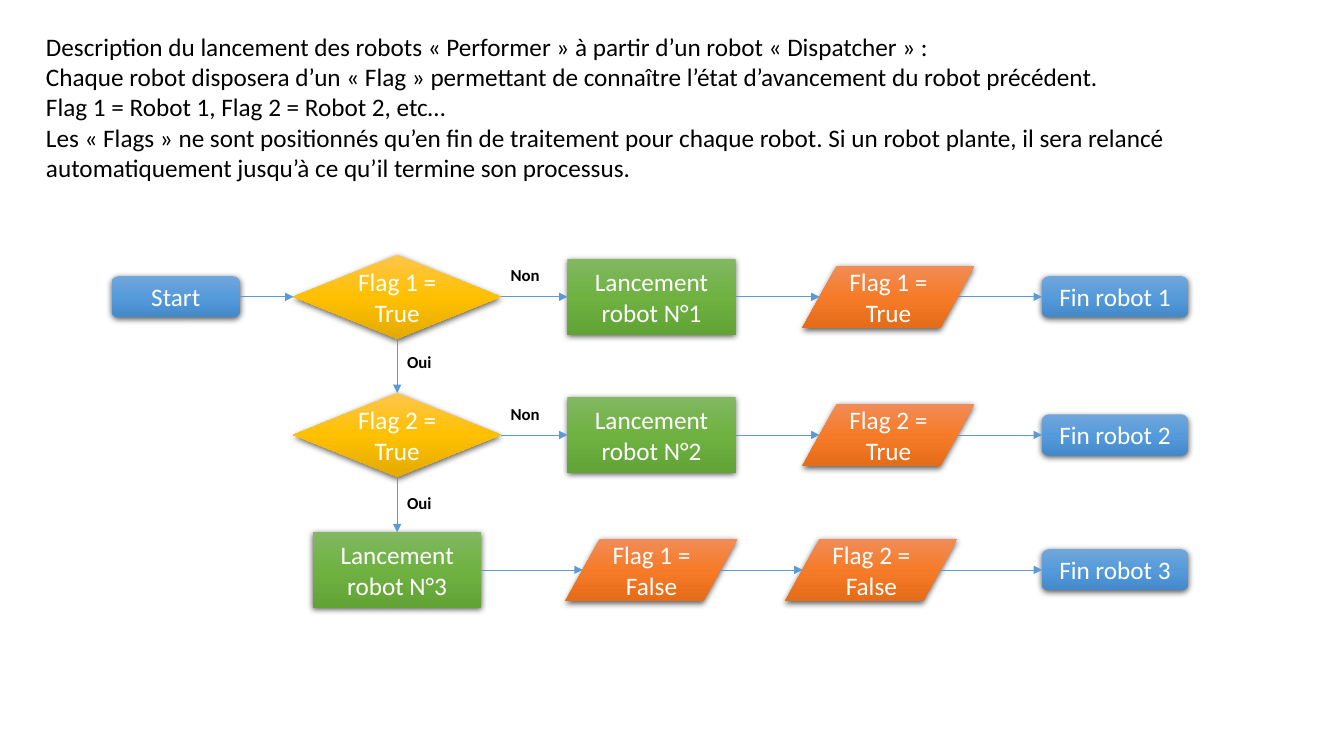
"""Draw the flowchart in which a dispatcher robot launches the performer robots."""
import copy
from dataclasses import dataclass

import lxml.etree
import pptx
import pptx.dml.color
import pptx.enum.dml
import pptx.enum.shapes
import pptx.enum.text
import pptx.oxml
import pptx.oxml.ns
import pptx.util

Cm = pptx.util.Cm
Pt = pptx.util.Pt
Rgb = pptx.dml.color.RGBColor.from_string
Shapes = pptx.enum.shapes.MSO_SHAPE
Align = pptx.enum.text.PP_ALIGN
qn = pptx.oxml.ns.qn

TOP, LEFT, BOTTOM, RIGHT = range(4)


@dataclass(frozen=True)
class Theme:
    """Colours and type sizes of the slide."""
    font: str = "Calibri"
    body: int = 18
    label: int = 12
    dark: str = "000000"
    light: str = "FFFFFF"
    arrow: str = "5B9BD5"
    arrow_width: float = 0.5
    blue: tuple[str, ...] = ("71A6DB", "559BDB", "448ACA")
    gold: tuple[str, ...] = ("FFC64B", "FFC000", "E3AB00")
    green: tuple[str, ...] = ("81B861", "6FB242", "62A336")
    orange: tuple[str, ...] = ("F18C57", "F67B28", "E56C19")


THEME = Theme()


@dataclass(frozen=True)
class Kind:
    """Outline, size in cm and gradient shared by one sort of step."""
    outline: pptx.enum.shapes.MSO_SHAPE
    width: float
    height: float
    colors: tuple[str, ...]


@dataclass(frozen=True)
class Step:
    """One box of the flowchart, placed by its centre in cm."""
    kind: Kind
    x: float
    y: float
    text: str


@dataclass(frozen=True)
class Arrow:
    """An arrow from a side of one step to a side of another."""
    tail: str
    head: str
    start: int = RIGHT
    end: int = LEFT


@dataclass(frozen=True)
class Label:
    """A free text with its box in cm."""
    lines: tuple[str, ...]
    x: float
    y: float
    width: float
    height: float
    size: int = THEME.label
    bold: bool = True
    wrap: bool = False


START = Kind(Shapes.FLOWCHART_ALTERNATE_PROCESS, 3.23, 1.04, THEME.blue)
END = Kind(Shapes.FLOWCHART_ALTERNATE_PROCESS, 3.68, 1.04, THEME.blue)
TEST = Kind(Shapes.FLOWCHART_DECISION, 5.23, 2.11, THEME.gold)
LAUNCH = Kind(Shapes.FLOWCHART_PROCESS, 4.24, 1.9, THEME.green)
FLAG = Kind(Shapes.FLOWCHART_DATA, 4.34, 1.57, THEME.orange)

ROW1, ROW2, ROW3 = 7.48, 10.96, 14.36
START_X, TEST_X, LAUNCH_X, FLAG_X, END_X = 4.43, 10.01, 16.42, 22.39, 28.1

STEPS = {
    "start": Step(START, START_X, ROW1, "Start"),
    "test1": Step(TEST, TEST_X, ROW1, "Flag 1 = True"),
    "launch1": Step(LAUNCH, LAUNCH_X, ROW1, "Lancement robot N°1"),
    "flag1": Step(FLAG, FLAG_X, ROW1, "Flag 1 = True"),
    "end1": Step(END, END_X, ROW1, "Fin robot 1"),
    "test2": Step(TEST, TEST_X, ROW2, "Flag 2 = True"),
    "launch2": Step(LAUNCH, LAUNCH_X, ROW2, "Lancement robot N°2"),
    "flag2": Step(FLAG, FLAG_X, ROW2, "Flag 2 =\nTrue"),
    "end2": Step(END, END_X, ROW2, "Fin robot 2"),
    "launch3": Step(LAUNCH, TEST_X, ROW3, "Lancement robot N°3"),
    "reset1": Step(FLAG, LAUNCH_X, ROW3, "Flag 1 = False"),
    "reset2": Step(FLAG, 21.96, ROW3, "Flag 2 =\nFalse"),
    "end3": Step(END, END_X, ROW3, "Fin robot 3"),
}

CHAINS = (
    ("start", "test1", "launch1", "flag1", "end1"),
    ("test2", "launch2", "flag2", "end2"),
    ("launch3", "reset1", "reset2", "end3"),
)
ARROWS = [Arrow(a, b) for chain in CHAINS for a, b in zip(chain, chain[1:])] + [
    Arrow("test1", "test2", BOTTOM, TOP),
    Arrow("test2", "launch3", BOTTOM, TOP),
]

LABELS = (
    Label((
        "Description du lancement des robots « Performer » à partir d’un robot « Dispatcher » :",
        "Chaque robot disposera d’un « Flag » permettant de connaître l’état d’avancement du robot précédent.",
        "Flag 1 = Robot 1, Flag 2 = Robot 2, etc…",
        "Les « Flags » ne sont positionnés qu’en fin de traitement pour chaque robot. "
        "Si un robot plante, il sera relancé automatiquement jusqu’à ce qu’il termine son processus.",
    ), 0.91, 0.66, 31.78, 4.11, THEME.body, False, True),
    Label(("Non",), 12.62, 6.55, 1.24, 0.77),
    Label(("Non",), 12.62, 10.06, 1.24, 0.77),
    Label(("Oui",), TEST_X, 8.74, 1.14, 0.77),
    Label(("Oui",), TEST_X, 12.29, 1.14, 0.77),
)


def write(tf, lines, size: int, color: str, align=None, bold: bool = False) -> None:
    """Fill a text frame with one paragraph per line."""
    for i, line in enumerate(lines):
        p = tf.paragraphs[0] if i == 0 else tf.add_paragraph()
        p.alignment = align
        r = p.add_run()
        r.text = line
        r.font.name = THEME.font
        r.font.size = Pt(size)
        r.font.bold = bold
        r.font.color.rgb = Rgb(color)


def shade(s, colors: tuple[str, ...]) -> None:
    """Give a shape its vertical three-stop gradient and soft shadow."""
    s.fill.gradient()
    s.fill.gradient_angle = 270
    stops = s._element.spPr.find(qn("a:gradFill")).find(qn("a:gsLst"))
    stops.insert(1, copy.deepcopy(stops[0]))
    for i, (stop, color) in enumerate(zip(s.fill.gradient_stops, colors)):
        stop.position = i / 2
        stop.color.rgb = Rgb(color)
    s.shadow.inherit = False
    shadow = lxml.etree.SubElement(
        s._element.spPr.find(qn("a:effectLst")), qn("a:outerShdw"),
        blurRad=str(Pt(4.5)), dist=str(Pt(1.5)), dir="5400000", algn="ctr", rotWithShape="0")
    color = lxml.etree.SubElement(shadow, qn("a:srgbClr"), val=THEME.dark)
    lxml.etree.SubElement(color, qn("a:alpha"), val="63000")


def add_step(slide, step: Step):
    """Draw one step and return its shape."""
    k = step.kind
    s = slide.shapes.add_shape(k.outline, Cm(step.x - k.width / 2), Cm(step.y - k.height / 2),
                               Cm(k.width), Cm(k.height))
    shade(s, k.colors)
    s.line.fill.background()
    tf = s.text_frame
    tf.vertical_anchor = pptx.enum.text.MSO_ANCHOR.MIDDLE
    write(tf, step.text.split("\n"), THEME.body, THEME.light, Align.CENTER)
    return s


def side_point(step: Step, side: int) -> tuple[int, int]:
    """Return the middle of a side, on the slanted edge for a parallelogram."""
    reach = 0.4 if step.kind is FLAG else 0.5
    dx, dy = ((0, -0.5), (-reach, 0), (0, 0.5), (reach, 0))[side]
    return Cm(step.x + dx * step.kind.width), Cm(step.y + dy * step.kind.height)


def add_arrow(slide, arrow: Arrow, shapes: dict) -> None:
    """Draw an arrow, joined to every step that is not a parallelogram."""
    tail, head = STEPS[arrow.tail], STEPS[arrow.head]
    c = slide.shapes.add_connector(pptx.enum.shapes.MSO_CONNECTOR.STRAIGHT,
                                   *side_point(tail, arrow.start), *side_point(head, arrow.end))
    if tail.kind is not FLAG:
        c.begin_connect(shapes[arrow.tail], arrow.start)
    if head.kind is not FLAG:
        c.end_connect(shapes[arrow.head], arrow.end)
    c.line.color.rgb = Rgb(THEME.arrow)
    c.line.width = Pt(THEME.arrow_width)
    lxml.etree.SubElement(c.line._get_or_add_ln(), qn("a:tailEnd"), type="triangle")
    lxml.etree.SubElement(c._element.spPr, qn("a:effectLst"))


def add_label(slide, label: Label) -> None:
    """Draw a free text."""
    tf = slide.shapes.add_textbox(Cm(label.x), Cm(label.y), Cm(label.width), Cm(label.height)).text_frame
    tf.word_wrap = label.wrap
    tf.auto_size = pptx.enum.text.MSO_AUTO_SIZE.SHAPE_TO_FIT_TEXT
    write(tf, label.lines, label.size, THEME.dark, bold=label.bold)


def main() -> None:
    """Build and save the slide."""
    prs = pptx.Presentation()
    prs.slide_width, prs.slide_height = Cm(33.87), Cm(19.05)
    slide = prs.slides.add_slide(prs.slide_layouts[6])
    shapes = {name: add_step(slide, step) for name, step in STEPS.items()}
    for arrow in ARROWS:
        add_arrow(slide, arrow, shapes)
    for label in LABELS:
        add_label(slide, label)
    prs.save("out.pptx")


if __name__ == "__main__":
    main()
